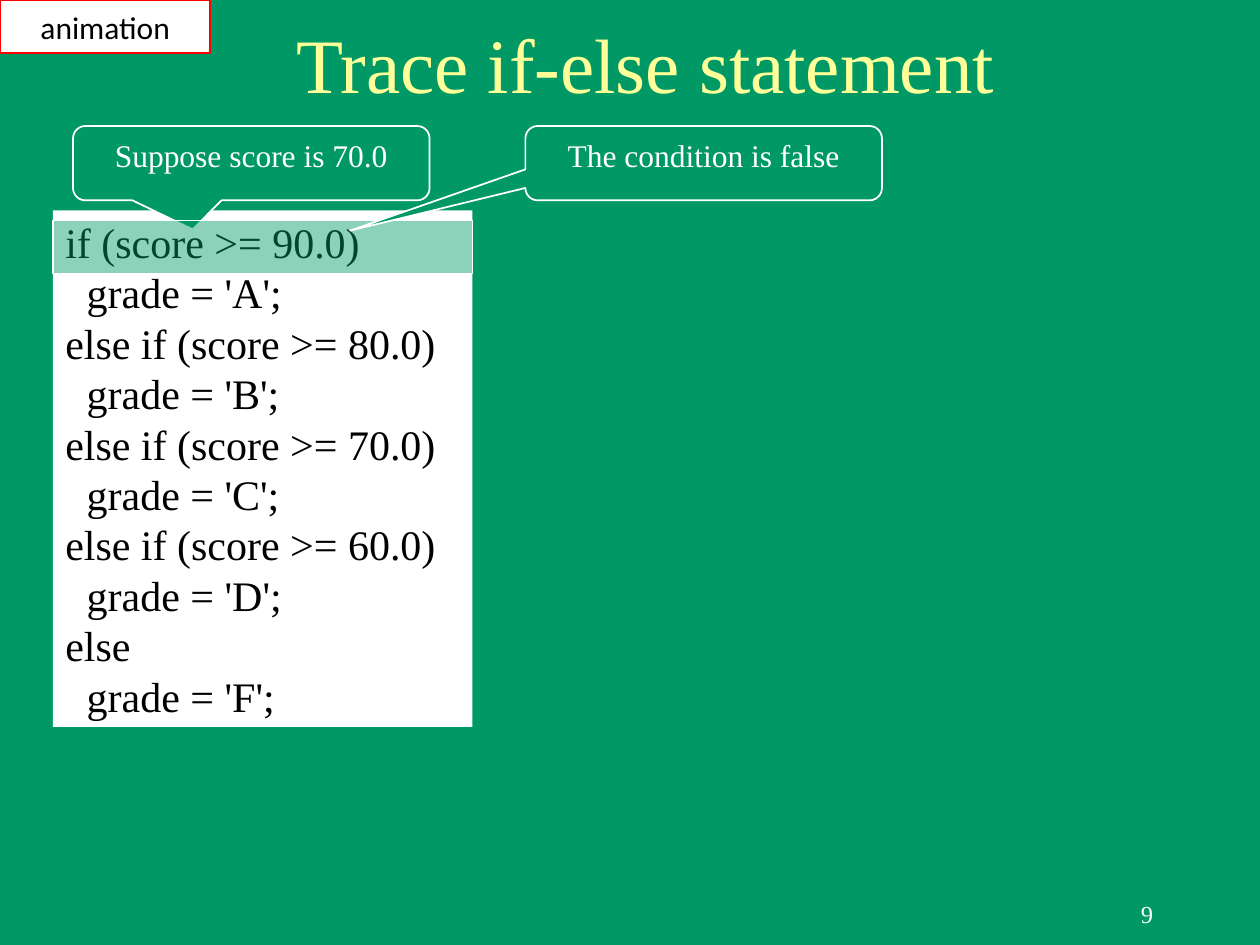
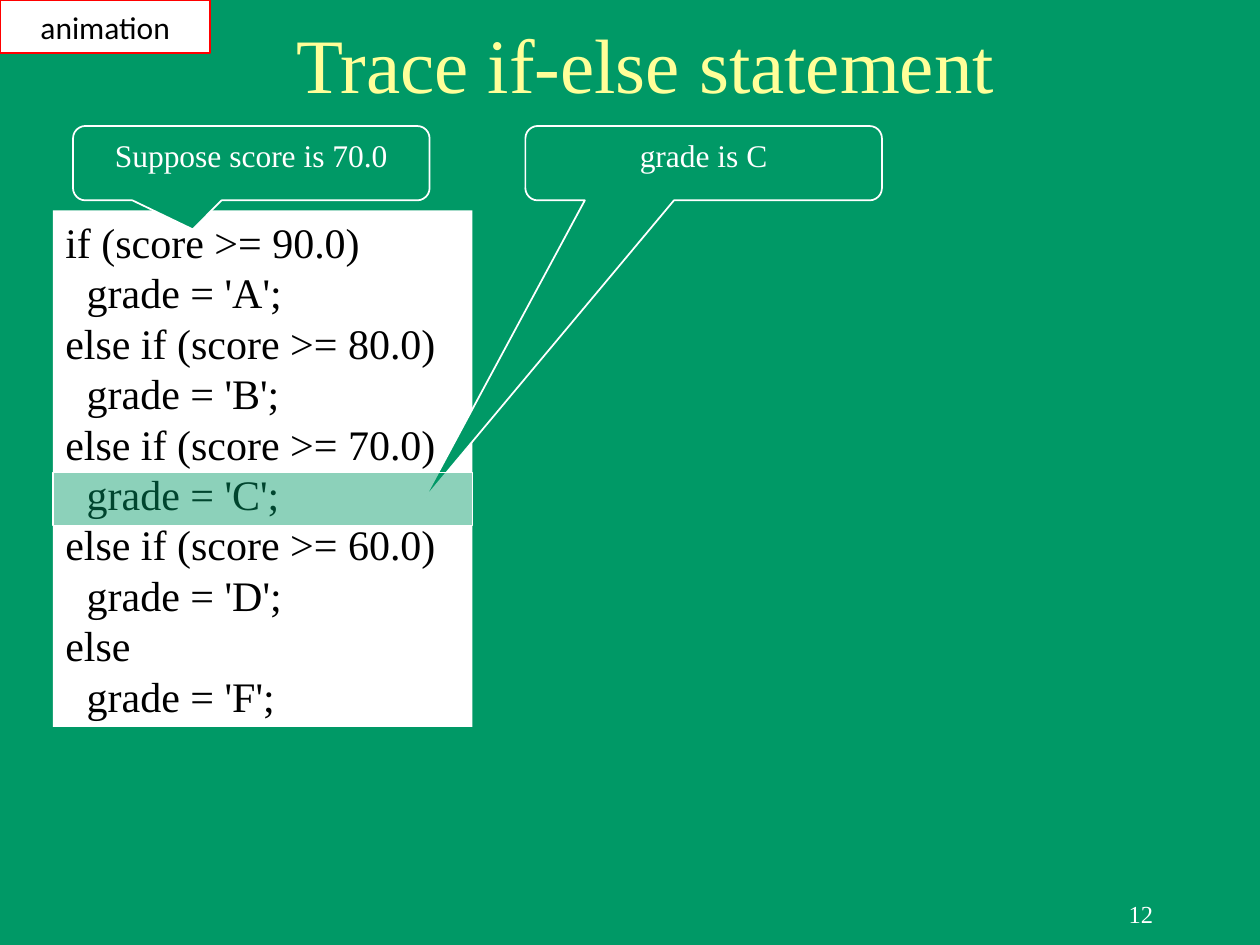
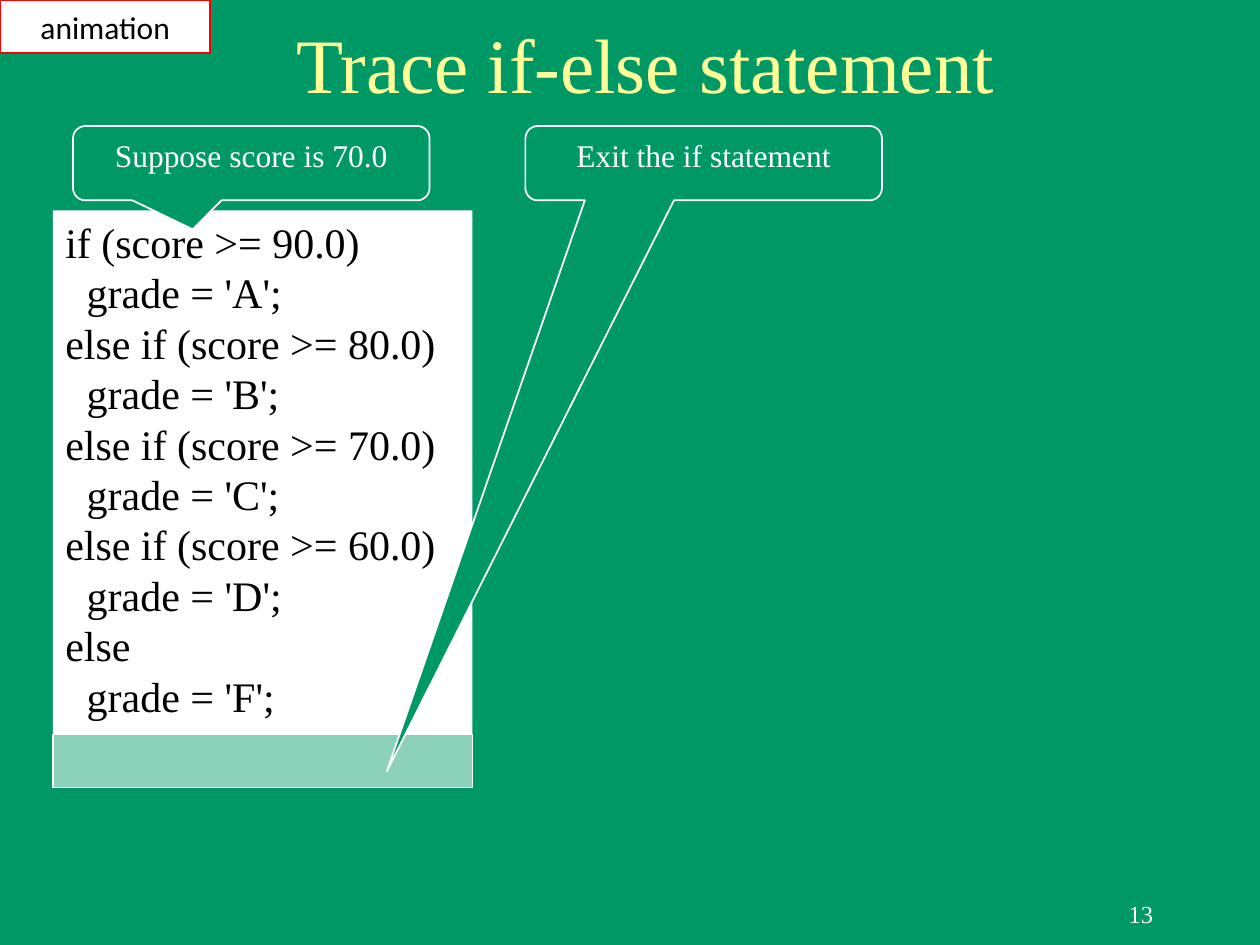
"""Build three slides that trace an if-else statement."""
from pptx import Presentation
from pptx.dml.color import RGBColor
from pptx.enum.shapes import MSO_SHAPE as Shape
from pptx.enum.text import MSO_ANCHOR as Anchor, PP_ALIGN as Align
from pptx.oxml.xmlchemy import OxmlElement
from pptx.util import Inches, Pt

COLORS = {"green": "009966", "yellow": "FFFF99", "white": "FFFFFF",
          "black": "000000", "red": "FF0000"}
SERIF, SANS = "Times New Roman", "Calibri"
TITLE = "Trace if-else statement"
TAG = "animation"
ASSUMPTION = "Suppose score is 70.0"
BRANCHES = [("if (score >= 90.0)", "A"), ("else if (score >= 80.0)", "B"),
            ("else if (score >= 70.0)", "C"), ("else if (score >= 60.0)", "D"),
            ("else", "F")]
STEPS = [
    {"number": 9, "note": "The condition is false", "tip": (2.78, 1.83),
     "highlight_top": 1.75, "note_in_front": True},
    {"number": 12, "note": "grade is C", "tip": (3.36, 3.97),
     "highlight_top": 3.75, "note_in_front": False},
    {"number": 13, "note": "Exit the if statement", "tip": (3.07, 6.12),
     "highlight_top": 5.83, "note_in_front": True},
]

CODE_LEFT, CODE_TOP, CODE_WIDTH, CODE_HEIGHT = 0.42, 1.67, 3.33, 4.1
HIGHLIGHT_HEIGHT, HIGHLIGHT_OPACITY = 0.42, 45
CALLOUT_TOP, CALLOUT_WIDTH, CALLOUT_HEIGHT = 1, 2.83, 0.59
CODE_SIZE, CODE_INDENT, CODE_SPACING = 24, 0.17, 28.8


def color(name):
    return RGBColor.from_string(COLORS[name])


def write(shape, lines, size, ink, font=SERIF, align=Align.CENTER,
          anchor=Anchor.MIDDLE, wrap=True):
    frame = shape.text_frame
    frame.text = "\n".join(lines)
    frame.word_wrap = wrap
    frame.vertical_anchor = anchor
    for paragraph in frame.paragraphs:
        paragraph.alignment = align
        for run in paragraph.runs:
            run.font.size = Pt(size)
            run.font.name = font
            run.font.color.rgb = color(ink)


def add_text(slide, box, text, size, ink, **style):
    shape = slide.shapes.add_textbox(*map(Inches, box))
    write(shape, [text], size, ink, **style)


def add_box(slide, box, fill, line=None, kind=Shape.RECTANGLE):
    shape = slide.shapes.add_shape(kind, *map(Inches, box))
    shape.shadow.inherit = False
    shape.fill.solid()
    shape.fill.fore_color.rgb = color(fill)
    if line:
        shape.line.color.rgb = color(line)
        shape.line.width = Pt(1)
    else:
        shape.line.fill.background()
    return shape


def add_code(slide):
    shape = add_box(slide, (CODE_LEFT, CODE_TOP, CODE_WIDTH, CODE_HEIGHT), "white")
    lines = [line for condition, grade in BRANCHES
             for line in (condition, f"grade = '{grade}';")]
    write(shape, lines, CODE_SIZE, "black", align=Align.LEFT, anchor=Anchor.TOP)
    for index, paragraph in enumerate(shape.text_frame.paragraphs):
        paragraph.line_spacing = Pt(CODE_SPACING)
        if index % 2:
            paragraph._p.get_or_add_pPr().set("marL", str(Inches(CODE_INDENT)))


def add_callout(slide, left, text, tip):
    shape = add_box(slide, (left, CALLOUT_TOP, CALLOUT_WIDTH, CALLOUT_HEIGHT),
                    "green", "white", Shape.ROUNDED_RECTANGULAR_CALLOUT)
    shape.adjustments[0] = (tip[0] - left) / CALLOUT_WIDTH - 0.5
    shape.adjustments[1] = (tip[1] - CALLOUT_TOP) / CALLOUT_HEIGHT - 0.5
    write(shape, [text], 18, "white", anchor=Anchor.TOP)


def add_highlight(slide, top):
    bottom, code_bottom = top + HIGHLIGHT_HEIGHT, CODE_TOP + CODE_HEIGHT
    if bottom > code_bottom:
        add_box(slide, (CODE_LEFT, code_bottom, CODE_WIDTH, bottom - code_bottom), "white")
    shape = add_box(slide, (CODE_LEFT, top, CODE_WIDTH, HIGHLIGHT_HEIGHT), "green", "white")
    alpha = OxmlElement("a:alpha")
    alpha.set("val", str(HIGHLIGHT_OPACITY * 1000))
    shape.fill._xPr.solidFill[0].append(alpha)


def add_step(presentation, step):
    slide = presentation.slides.add_slide(presentation.slide_layouts[6])
    slide.background.fill.solid()
    slide.background.fill.fore_color.rgb = color("green")
    add_text(slide, (7.17, 7, 2.08, 0.5), str(step["number"]), 14, "white",
             align=Align.RIGHT)
    add_text(slide, (0.75, 0, 8.75, 1), TITLE, 44, "yellow")
    add_code(slide)
    add_callout(slide, 0.58, ASSUMPTION, (1.53, 1.82))
    if step["note_in_front"]:
        add_highlight(slide, step["highlight_top"])
    add_callout(slide, 4.17, step["note"], step["tip"])
    if not step["note_in_front"]:
        add_highlight(slide, step["highlight_top"])
    tag = add_box(slide, (0, 0, 1.67, 0.42), "white", "red")
    write(tag, [TAG], 18, "black", font=SANS, wrap=False)


def main():
    presentation = Presentation()
    presentation.slide_width, presentation.slide_height = Inches(10), Inches(7.5)
    for step in STEPS:
        add_step(presentation, step)
    presentation.save("out.pptx")


if __name__ == "__main__":
    main()
